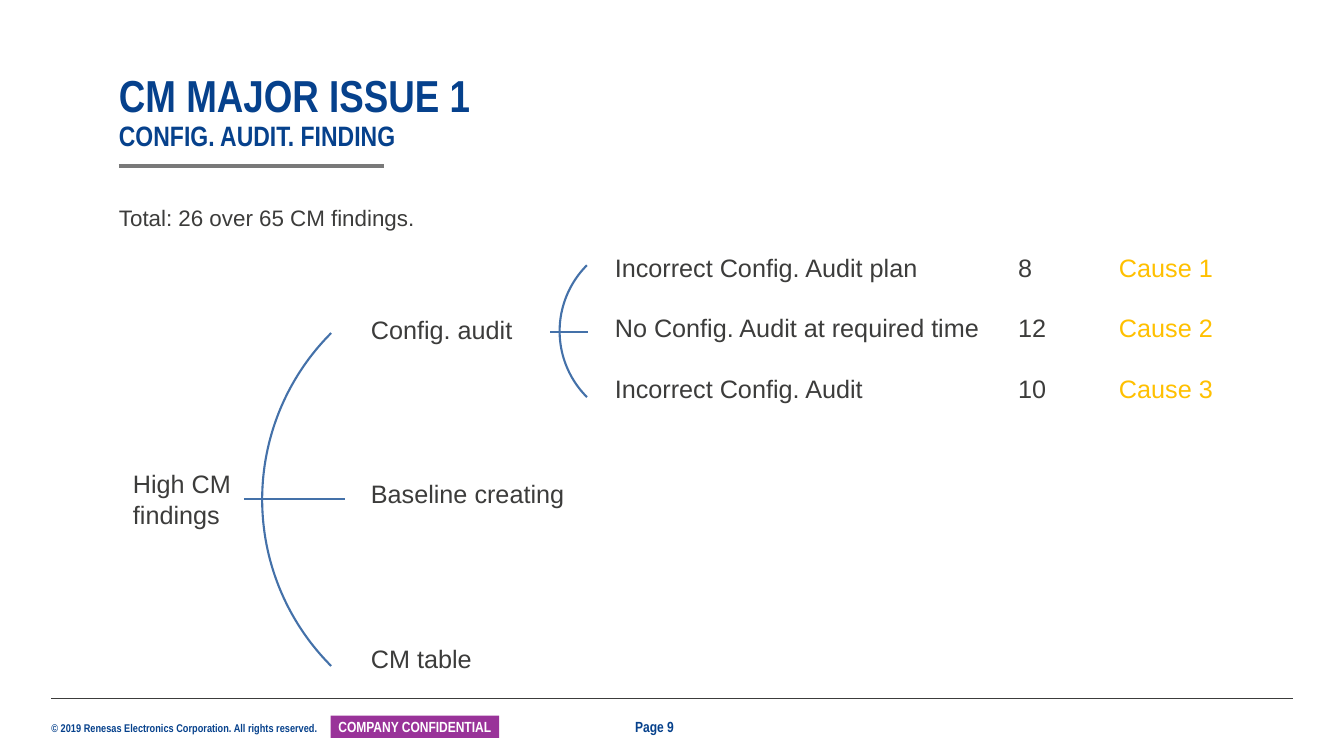
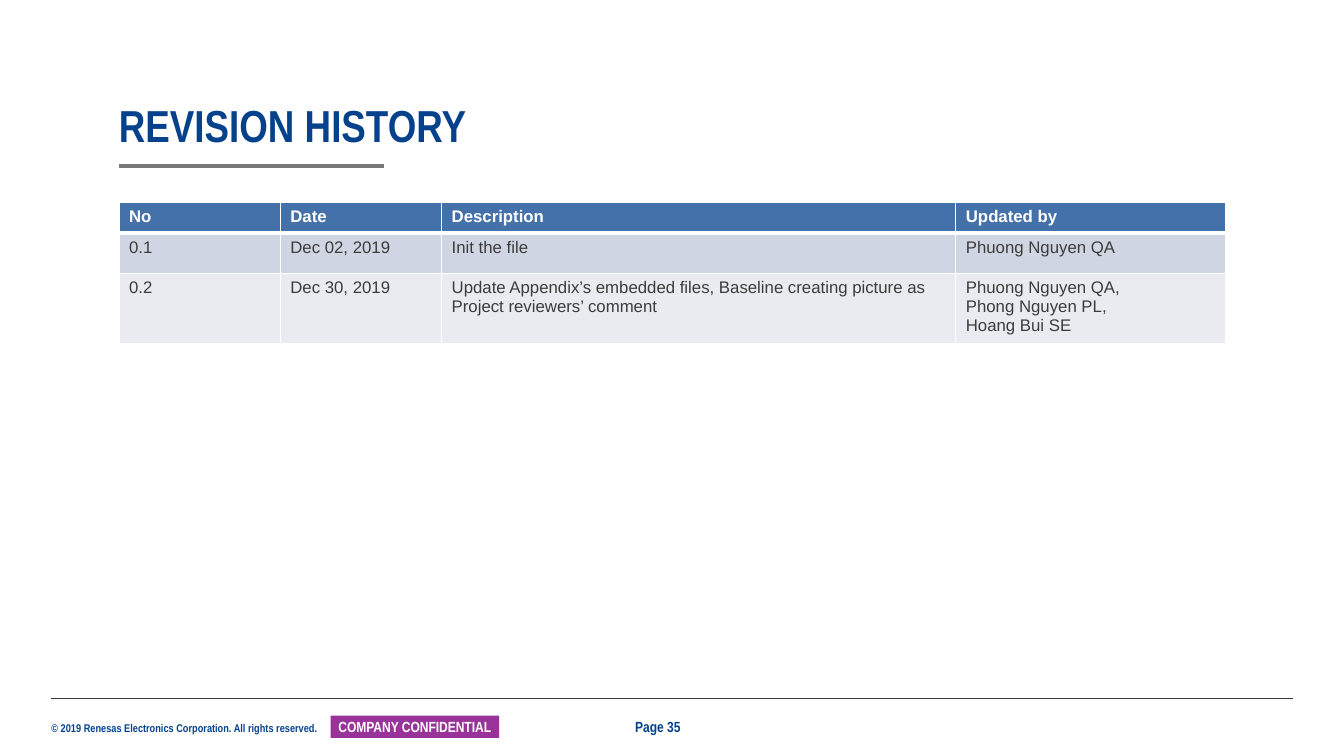
from pptx import Presentation as Deck
from pptx.dml.color import RGBColor as Rgb
from pptx.enum.shapes import MSO_CONNECTOR as Link, MSO_SHAPE as Form
from pptx.enum.text import MSO_ANCHOR as Anchor, PP_ALIGN as Align
from pptx.oxml.ns import qn
from pptx.util import Emu, Pt
from lxml.etree import SubElement as Sub

SCALE = 9144
NAVY, INK, GRAY, BLUE = "06418C", "3C3C3B", "797979", "4471A9"
WHITE, PURPLE, GOLD = "FFFFFF", "993399", "FFC000"
BANDS = ["CFD5E2", "E9EBF1"]
NARROW = {"name": "Arial Narrow", "bold": True}
PLAIN = {"name": "Arial", "bold": False}
FONTS = {
    "title": ({**NARROW, "size": Pt(32)}, NAVY),
    "sub": ({**NARROW, "size": Pt(20)}, NAVY),
    "legal": ({**NARROW, "size": Pt(8)}, NAVY),
    "page": ({**NARROW, "size": Pt(10.5)}, NAVY),
    "badge": ({**NARROW, "size": Pt(10.5)}, WHITE),
    "lead": ({**PLAIN, "size": Pt(16)}, INK),
    "node": ({**PLAIN, "size": Pt(18)}, INK),
    "cause": ({**PLAIN, "size": Pt(18)}, GOLD),
    "head": ({**PLAIN, "size": Pt(12), "bold": True}, WHITE),
    "cell": ({**PLAIN, "size": Pt(12)}, INK),
}
FLUSH = {side: 0 for side in
         ("margin_left", "margin_top", "margin_right", "margin_bottom")}
LOW = {**FLUSH, "vertical_anchor": Anchor.BOTTOM}
MID = {**FLUSH, "vertical_anchor": Anchor.MIDDLE}

BRANCHES = ["Config. audit", "Baseline creating", "CM table"]
CAUSES = [
    ("Incorrect Config. Audit plan", 8),
    ("No Config. Audit at required time", 12),
    ("Incorrect Config. Audit", 10),
]
WIDTHS = [160, 160, 510, 268]
HEIGHTS = [29, 40, 67]
ROWS = [
    ("No", "Date", "Description", "Updated by"),
    ("0.1", "Dec 02, 2019", "Init the file", "Phuong Nguyen QA"),
    ("0.2", "Dec 30, 2019",
     "Update Appendix’s embedded files, Baseline creating picture as "
     "Project reviewers’ comment",
     "Phuong Nguyen QA,\nPhong Nguyen PL,\nHoang Bui SE"),
]


def px(*nums):
    """Turn px lengths into EMU."""
    return [Emu(num * SCALE) for num in nums]


def hue(code):
    """Turn a hex string into a colour."""
    return Rgb.from_string(code)


def apply(item, vals):
    """Set each value of a dict on an object."""
    for key, val in vals.items():
        setattr(item, key, val)


def write(para, text, kind):
    """Add one run in a named font."""
    run = para.add_run()
    run.text = text
    vals, code = FONTS[kind]
    apply(run.font, vals)
    run.font.color.rgb = hue(code)


def label(slide, box, text, kind, frame=None, para=None, wrap=True):
    """Add a text box and return its paragraph."""
    body = slide.shapes.add_textbox(*px(*box)).text_frame
    apply(body, {"word_wrap": wrap, **(frame or {})})
    line = body.paragraphs[0]
    apply(line, para or {})
    write(line, text, kind)
    return line


def rule(slide, left, right, top, code, width):
    """Draw a level line."""
    line = slide.shapes.add_connector(
        Link.STRAIGHT, *px(left, top, right, top))
    apply(line.line, {"width": Pt(width)})
    line.line.color.rgb = hue(code)
    Sub(line._element.spPr, qn("a:effectLst"))


def curve(slide, left, top, size):
    """Draw an arc that opens to the right."""
    arc = slide.shapes.add_shape(Form.ARC, *px(left, top, size, size))
    apply(arc, {"rotation": 225})
    arc.shadow.inherit = False
    arc.fill.background()
    arc.line.width = Pt(1.5)
    arc.line.color.rgb = hue(BLUE)


def badge(slide, box, text):
    """Draw the filled footer label."""
    shape = slide.shapes.add_shape(Form.RECTANGLE, *px(*box))
    shape.shadow.inherit = False
    shape.fill.solid()
    shape.fill.fore_color.rgb = hue(PURPLE)
    shape.line.fill.background()
    apply(shape.text_frame, {**MID, "word_wrap": True})
    line = shape.text_frame.paragraphs[0]
    line.alignment = Align.CENTER
    write(line, text, "badge")


def start(deck, title, page, sub=None):
    """Add a slide with title, rules and footer."""
    slide = deck.slides.add_slide(deck.slide_layouts[6])
    head = label(slide, (118, 72, 984, 79), title, "title", LOW,
                 {"line_spacing": 0.9})
    if sub:
        head.add_line_break()
        write(head, sub, "sub")
    rule(slide, 118, 381, 165, GRAY, 3)
    rule(slide, 51, 1282, 693, INK, 0.5)
    label(slide, (51, 716, 275, 13),
          "© 2019 Renesas Electronics Corporation. All rights reserved.",
          "legal", FLUSH, wrap=False)
    badge(slide, (328, 710, 167, 22), "COMPANY CONFIDENTIAL")
    label(slide, (630, 712, 73, 18), f"Page {page}", "page", MID)
    return slide


def tabs(para, *stops):
    """Set left tab stops."""
    group = Sub(para._p.get_or_add_pPr(), qn("a:tabLst"))
    for stop in px(*stops):
        Sub(group, qn("a:tab"), pos=str(stop), algn="l")


def edge(cell, side, width):
    """Draw one white cell border."""
    line = Sub(cell._tc.get_or_add_tcPr(), qn(f"a:ln{side}"),
               w=str(Pt(width)))
    fill = Sub(line, qn("a:solidFill"))
    Sub(fill, qn("a:srgbClr"), val=WHITE)


def fill(cell, text, row):
    """Style and fill one table cell."""
    wide = {(0, "B"), (1, "T")}
    for side in "LRTB":
        edge(cell, side, 3 if (row, side) in wide else 1)
    cell.fill.solid()
    cell.fill.fore_color.rgb = hue(BANDS[row - 1] if row else BLUE)
    body = cell.text_frame
    for num, part in enumerate(text.split("\n")):
        para = body.add_paragraph() if num else body.paragraphs[0]
        write(para, part, "cell" if row else "head")


def grid(slide, left, top):
    """Add the revision table."""
    frame = slide.shapes.add_table(
        len(ROWS), len(WIDTHS),
        *px(left, top, sum(WIDTHS), sum(HEIGHTS)))
    table = frame.table
    apply(table, {"first_row": False, "horz_banding": False})
    for col, width in zip(table.columns, px(*WIDTHS)):
        col.width = width
    for row, high in zip(table.rows, px(*HEIGHTS)):
        row.height = high
    for row, texts in enumerate(ROWS):
        for col, text in enumerate(texts):
            fill(table.cell(row, col), text, row)


def issue(deck):
    """Build the findings tree slide."""
    slide = start(deck, "CM MAJOR ISSUE 1", 9, "CONFIG. AUDIT. FINDING")
    label(slide, (118, 197, 984, 29), "Total: 26 over 65 CM findings.",
          "lead", FLUSH, {"line_spacing": 1.2, "space_after": Pt(8)})
    label(slide, (122, 460, 178, 71), "High CM findings", "node")
    curve(slide, 260, 262, 467)
    rule(slide, 242, 342, 495, BLUE, 1.5)
    for num, text in enumerate(BRANCHES):
        label(slide, (358, 307 + 163 * num, 225, 40), text, "node")
    curve(slide, 555, 236, 185)
    rule(slide, 546, 583, 329, BLUE, 1.5)
    for num, (text, count) in enumerate(CAUSES):
        line = label(slide, (600, 245 + 60 * num, 717, 40),
                     f"{text}\t{count}\t", "node")
        tabs(line, 400, 500)
        write(line, f"Cause {num + 1}", "cause")


def history(deck):
    """Build the revision history slide."""
    grid(start(deck, "REVISION HISTORY", 35), 118, 201)


def main():
    """Build and save the deck."""
    deck = Deck()
    deck.slide_width, deck.slide_height = px(1333, 750)
    issue(deck)
    history(deck)
    deck.save("out.pptx")


if __name__ == "__main__":
    main()
